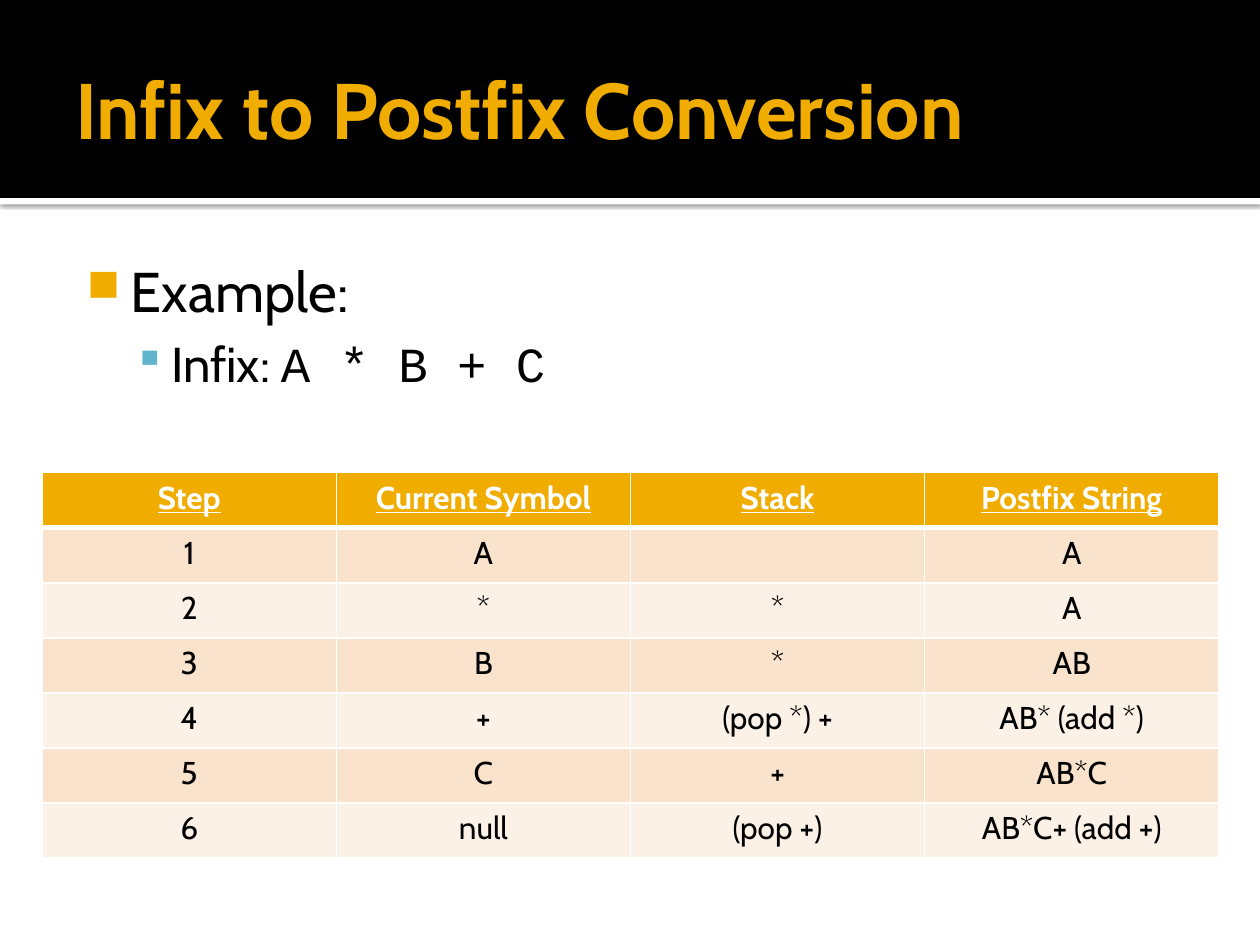
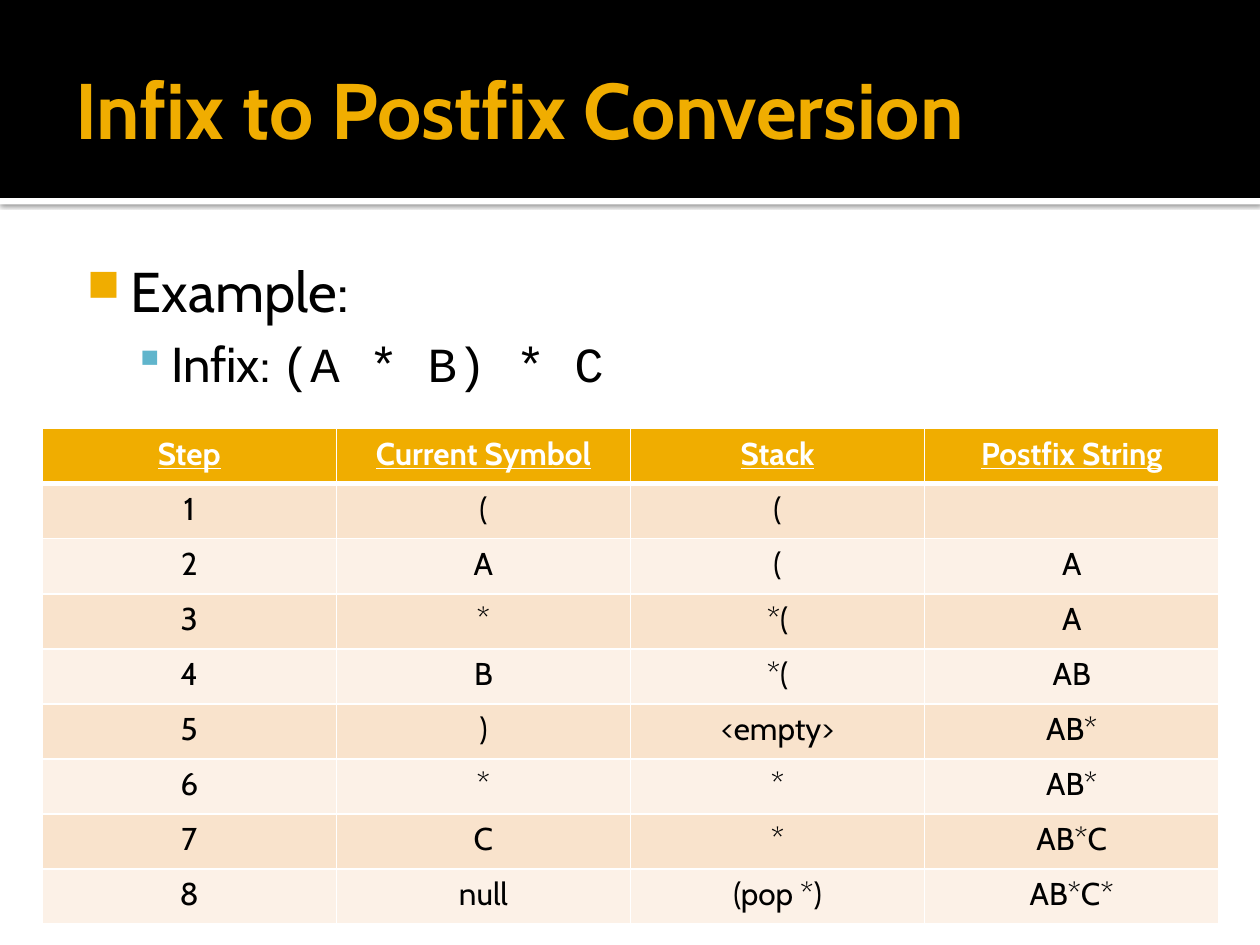
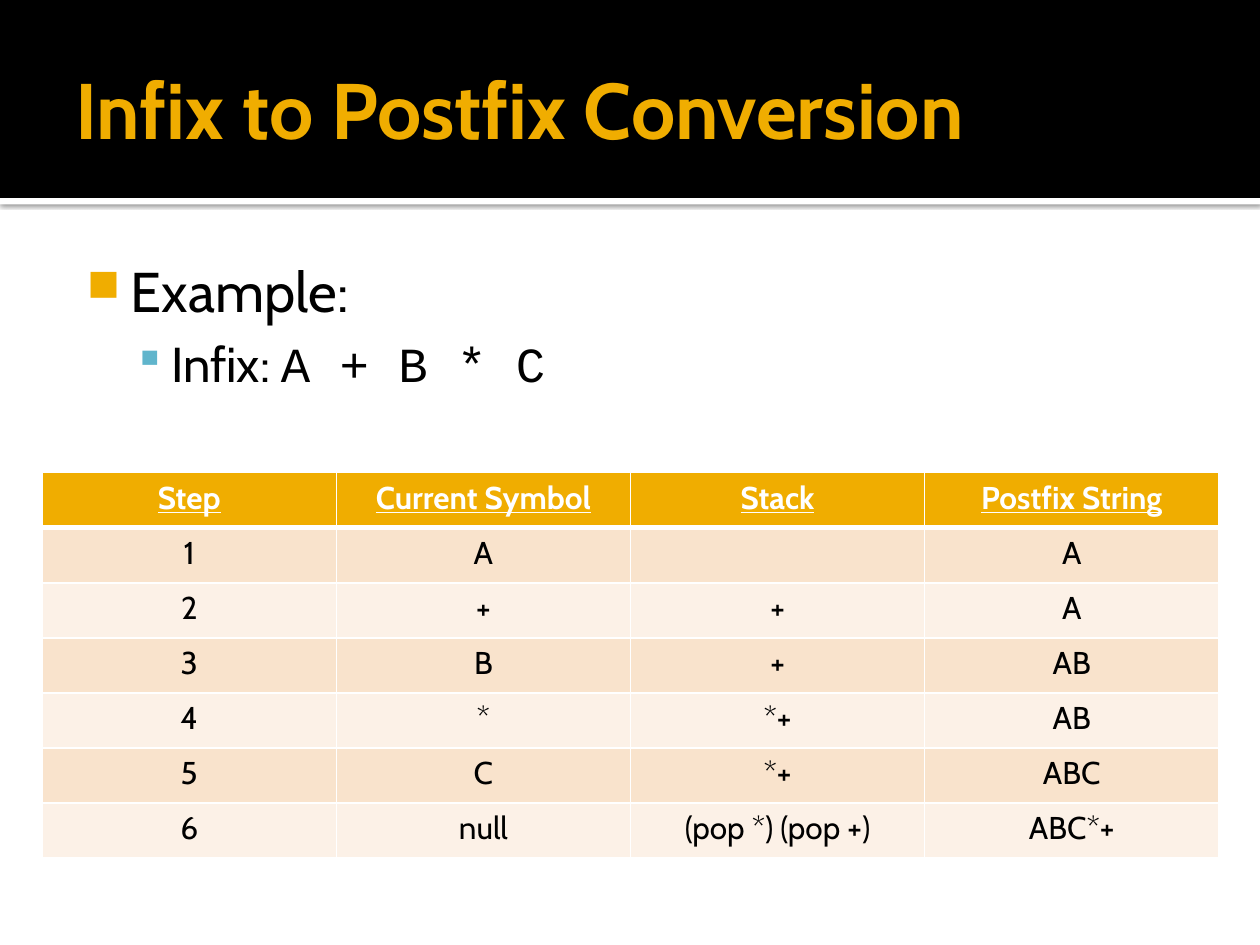
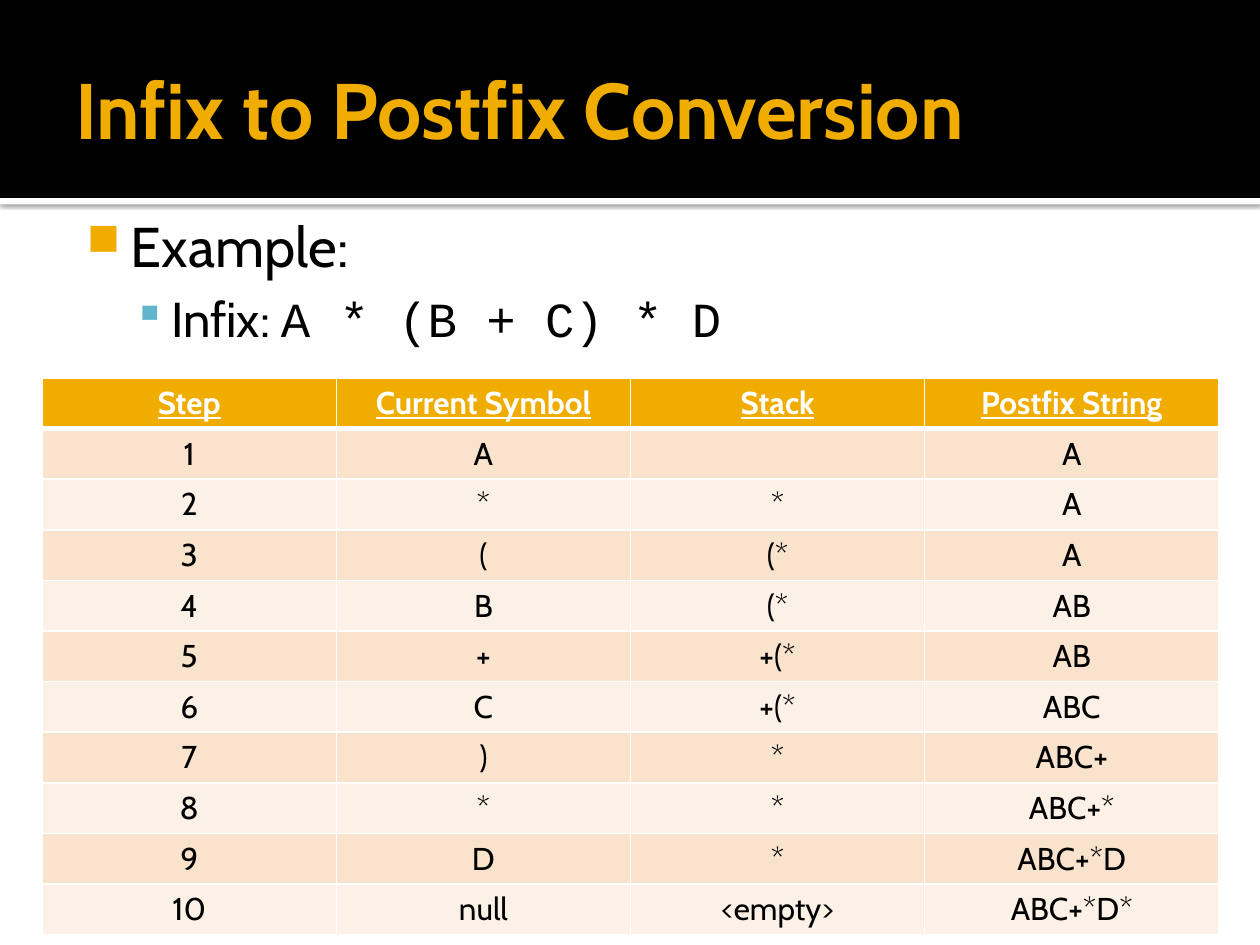
"""Build four slides that trace infix to postfix conversion step by step."""
from dataclasses import dataclass

from lxml import etree
from pptx import Presentation
from pptx.dml.color import RGBColor
from pptx.enum.shapes import MSO_SHAPE
from pptx.enum.text import MSO_ANCHOR, PP_ALIGN
from pptx.oxml.ns import qn
from pptx.slide import Slide
from pptx.table import _Cell
from pptx.text.text import TextFrame, _Paragraph
from pptx.util import Cm, Pt

RECTANGLE = MSO_SHAPE.RECTANGLE
MIDDLE = MSO_ANCHOR.MIDDLE
CENTER = PP_ALIGN.CENTER

COLORS = {
    "black": "000000",
    "white": "FFFFFF",
    "gold": "F0AD00",
    "blue": "60B5CC",
    "dark_row": "F9E3CC",
    "light_row": "FCF1E7",
}
TEXT_FONT = "Cabin"
CODE_FONT = "Courier New"
TITLE = "Infix to Postfix Conversion"
HEADINGS = ("Step", "Current Symbol", "Stack", "Postfix String")
PAGE_WIDTH = 25.4
PAGE_HEIGHT = 19.05
BAND_HEIGHT = 3.99
TABLE_LEFT = 0.85
COLUMN_WIDTH = 5.93


@dataclass(frozen=True)
class Area:
    """Position and size in centimetres."""
    left: float
    top: float
    width: float
    height: float

    def lengths(self) -> tuple[Cm, Cm, Cm, Cm]:
        """Return the four values as lengths."""
        return Cm(self.left), Cm(self.top), Cm(self.width), Cm(self.height)


@dataclass(frozen=True)
class Bullet:
    """Symbol, colour, size in percent and indents in centimetres."""
    symbol: str
    color: str
    percent: int
    margin: float
    hanging: float
    level: int = 0


@dataclass(frozen=True)
class Example:
    """An infix expression with its (symbol, stack, postfix) steps."""
    infix: str
    steps: tuple[tuple[str, str, str], ...]
    table_top: float
    row_height: float = 1.11
    body_top: float = 4.93


MAIN_BULLET = Bullet("■", "gold", 80, 1.22, 0.89)
SUB_BULLET = Bullet("▪", "blue", 90, 2.03, 0.76, level=1)

EXAMPLES = (
    Example("A * B + C", (
        ("A", "", "A"),
        ("*", "*", "A"),
        ("B", "*", "AB"),
        ("+", "(pop *) +", "AB* (add *)"),
        ("C", "+", "AB*C"),
        ("null", "(pop +)", "AB*C+ (add +)"),
    ), table_top=9.53),
    Example("(A * B) * C", (
        ("(", "(", ""),
        ("A", "(", "A"),
        ("*", "*(", "A"),
        ("B", "*(", "AB"),
        (")", "<empty>", "AB*"),
        ("*", "*", "AB*"),
        ("C", "*", "AB*C"),
        ("null", "(pop *)", "AB*C*"),
    ), table_top=8.64),
    Example("A + B * C", (
        ("A", "", "A"),
        ("+", "+", "A"),
        ("B", "+", "AB"),
        ("*", "*+", "AB"),
        ("C", "*+", "ABC"),
        ("null", "(pop *) (pop +)", "ABC*+"),
    ), table_top=9.53),
    Example("A * (B + C) * D", (
        ("A", "", "A"),
        ("*", "*", "A"),
        ("(", "(*", "A"),
        ("B", "(*", "AB"),
        ("+", "+(*", "AB"),
        ("C", "+(*", "ABC"),
        (")", "*", "ABC+"),
        ("*", "*", "ABC+*"),
        ("D", "*", "ABC+*D"),
        ("null", "<empty>", "ABC+*D*"),
    ), table_top=7.62, row_height=1.02, body_top=4.01),
)


def rgb(name: str) -> RGBColor:
    """Look up a named colour."""
    return RGBColor.from_string(COLORS[name])


def add_node(parent: etree._Element, tag: str, **attributes: object) -> etree._Element:
    """Append a drawing element with attributes."""
    values = {key: str(value) for key, value in attributes.items()}
    return etree.SubElement(parent, qn(tag), values)


def add_span(para: _Paragraph, text: str, size: float, color: str = "black",
             font: str = TEXT_FONT, bold: bool = False, underline: bool = False) -> None:
    """Add one formatted run."""
    span = para.add_run()
    span.text = text
    span.font.name = font
    span.font.size = Pt(size)
    span.font.color.rgb = rgb(color)
    span.font.bold = bold
    span.font.underline = underline


def add_band(page: Slide, area: Area, color: str, shadow: bool = False) -> None:
    """Draw a plain rectangle, with a soft shadow below it if wanted."""
    band = page.shapes.add_shape(RECTANGLE, *area.lengths())
    band.fill.solid()
    band.fill.fore_color.rgb = rgb(color)
    band.line.fill.background()
    band.shadow.inherit = False
    if shadow:
        effects = band._element.spPr.find(qn("a:effectLst"))
        outer = add_node(effects, "a:outerShdw", blurRad=Pt(2.5), dist=Pt(0.8),
                         dir=90 * 60000, algn="tl", rotWithShape=0)
        tint = add_node(outer, "a:srgbClr", val=COLORS["black"])
        add_node(tint, "a:alpha", val=60000)


def add_text_box(page: Slide, area: Area, insets: tuple[float, ...]) -> TextFrame:
    """Add a wrapping text box with left, top, right and bottom insets."""
    frame = page.shapes.add_textbox(*area.lengths()).text_frame
    frame.word_wrap = True
    (frame.margin_left, frame.margin_top,
     frame.margin_right, frame.margin_bottom) = (Cm(inset) for inset in insets)
    return frame


def set_bullet(para: _Paragraph, bullet: Bullet) -> None:
    """Give a paragraph its bullet and hanging indent."""
    para.level = bullet.level
    properties = para._p.get_or_add_pPr()
    properties.set("marL", str(Cm(bullet.margin)))
    properties.set("indent", str(-Cm(bullet.hanging)))
    tint = add_node(properties, "a:buClr")
    add_node(tint, "a:srgbClr", val=COLORS[bullet.color])
    add_node(properties, "a:buSzPct", val=bullet.percent * 1000)
    add_node(properties, "a:buChar", char=bullet.symbol)


def add_header(page: Slide) -> None:
    """Draw the title band, its edge and the title."""
    add_band(page, Area(0, BAND_HEIGHT, PAGE_WIDTH, 0.13), "white", shadow=True)
    add_band(page, Area(0, 0, PAGE_WIDTH, BAND_HEIGHT), "black")
    frame = add_text_box(page, Area(1.27, 0.43, 22.86, 3.48), (0.25, 0.13, 0.13, 0.13))
    frame.vertical_anchor = MIDDLE
    add_span(frame.paragraphs[0], TITLE, 45, "gold", bold=True)


def add_body(page: Slide, example: Example) -> None:
    """Write the bulleted infix expression."""
    area = Area(1.27, example.body_top, 22.86, 12.85)
    frame = add_text_box(page, area, (0.15, 0.25, 0.25, 0.13))
    para = frame.paragraphs[0]
    set_bullet(para, MAIN_BULLET)
    add_span(para, "Example:", 32)
    para = frame.add_paragraph()
    set_bullet(para, SUB_BULLET)
    para.space_before = Pt(5.6)
    add_span(para, "Infix: ", 28)
    add_span(para, example.infix, 28, font=CODE_FONT)


def style_cell(cell: _Cell, row: int) -> None:
    """Set white borders, with a heavy rule below the headings, and the fill."""
    properties = cell._tc.get_or_add_tcPr()
    heavy_side = {0: "B", 1: "T"}.get(row)
    for side in "LRTB":
        border = add_node(properties, f"a:ln{side}", w=Pt(3 if side == heavy_side else 1))
        paint = add_node(border, "a:solidFill")
        add_node(paint, "a:srgbClr", val=COLORS["white"])
    cell.fill.solid()
    banding = "dark_row" if row % 2 else "light_row"
    cell.fill.fore_color.rgb = rgb(banding if row else "gold")


def add_steps(page: Slide, example: Example) -> None:
    """Draw the table of conversion steps."""
    rows = [HEADINGS]
    rows += [(str(number), *step) for number, step in enumerate(example.steps, 1)]
    columns = len(HEADINGS)
    area = Area(TABLE_LEFT, example.table_top, columns * COLUMN_WIDTH,
                len(rows) * example.row_height)
    table = page.shapes.add_table(len(rows), columns, *area.lengths()).table
    for column in table.columns:
        column.width = Cm(COLUMN_WIDTH)
    for row, texts in enumerate(rows):
        table.rows[row].height = Cm(example.row_height)
        heading = row == 0
        for column, text in enumerate(texts):
            cell = table.cell(row, column)
            style_cell(cell, row)
            para = cell.text_frame.paragraphs[0]
            para.alignment = CENTER
            if text:
                add_span(para, text, 18, "white" if heading else "black",
                         bold=heading, underline=heading)


def main() -> None:
    """Build and save the deck."""
    deck = Presentation()
    deck.slide_width = Cm(PAGE_WIDTH)
    deck.slide_height = Cm(PAGE_HEIGHT)
    for example in EXAMPLES:
        page = deck.slides.add_slide(deck.slide_layouts[6])
        add_header(page)
        add_body(page, example)
        add_steps(page, example)
    deck.save("out.pptx")


if __name__ == "__main__":
    main()
